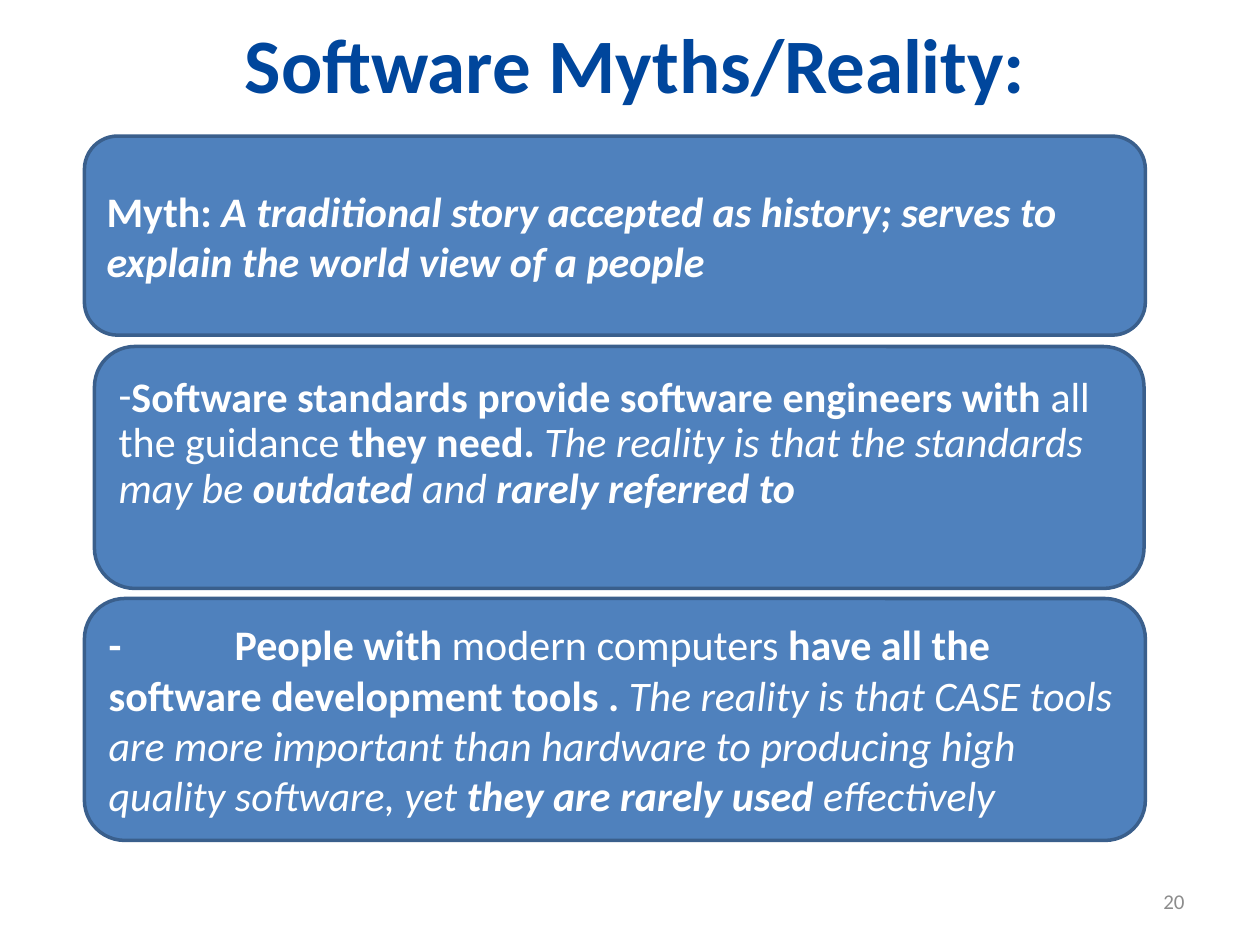
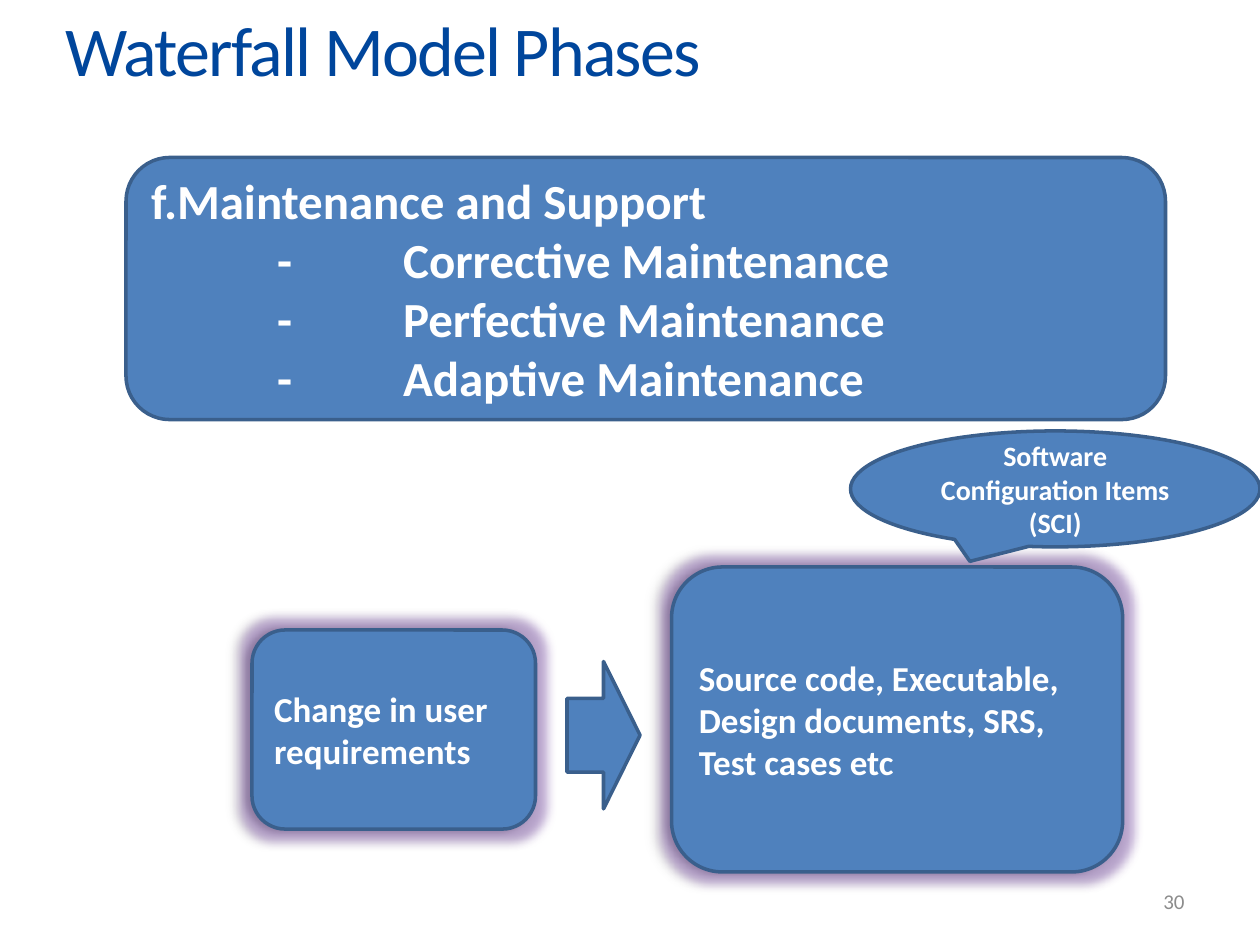
import pptx
import pptx.util
import pptx.dml.color
import pptx.enum.shapes
import pptx.enum.text
import pptx.oxml
import pptx.oxml.ns

Inches, Pt = pptx.util.Inches, pptx.util.Pt
SHAPES = pptx.enum.shapes.MSO_SHAPE
ALIGN = pptx.enum.text.PP_ALIGN
ANCHOR = pptx.enum.text.MSO_ANCHOR

FONT = "Calibri"
COLORS = {
    "title": "00469C",
    "panel": "4F81BD",
    "outline": "3A5F8C",
    "text": "FFFFFF",
    "number": "8C8C8C",
    "glow": "8050B0",
    "shadow": "000000",
}
BULLET_FONT = '<a:buFont {ns} typeface="%s"/>' % FONT
DASH = '<a:buChar {ns} char="-"/>'
LETTER_F = '<a:buAutoNum {ns} type="alphaLcPeriod" startAt="6"/>'
# Tab stops one inch apart
TABS = '<a:tabLst {ns}>%s</a:tabLst>' % "".join(
    '<a:tab pos="%d" algn="l"/>' % Inches(stop) for stop in (1, 2))
GLOW = (
    '<a:glow {ns} rad="139700"><a:srgbClr val="%s"><a:alpha val="40000"/></a:srgbClr></a:glow>'
    % COLORS["glow"]
)
SHADOW = (
    '<a:outerShdw {ns} blurRad="50800" dist="38100" dir="10800000"><a:srgbClr val="%s">'
    '<a:alpha val="40000"/></a:srgbClr></a:outerShdw>' % COLORS["shadow"]
)


def rgb(name):
    return pptx.dml.color.RGBColor.from_string(COLORS[name])


def append_xml(parent, *fragments):
    namespace = pptx.oxml.ns.nsdecls("a")
    for xml in fragments:
        parent.append(pptx.oxml.parse_xml(xml.replace("{ns}", namespace)))


def style_run(run, size, color, bold=False, italic=False):
    font = run.font
    font.name, font.size = FONT, Pt(size)
    font.bold, font.italic = bold, italic
    font.color.rgb = rgb(color)


def add_title(slide, text, box, size, bold, align, anchor):
    title = slide.shapes.title
    title.left, title.top, title.width, title.height = map(Inches, box)
    frame = title.text_frame
    frame.text = text
    frame.auto_size = pptx.enum.text.MSO_AUTO_SIZE.NONE
    frame.vertical_anchor = anchor
    frame.paragraphs[0].alignment = align
    run = frame.paragraphs[0].runs[0]
    style_run(run, size, "title", bold)
    return run


def add_page_number(slide, number):
    frame = slide.shapes.add_textbox(*map(Inches, (7.17, 6.95, 2.33, 0.4))).text_frame
    frame.word_wrap = True
    frame.vertical_anchor = ANCHOR.MIDDLE
    frame.text = number
    frame.paragraphs[0].alignment = ALIGN.RIGHT
    style_run(frame.paragraphs[0].runs[0], 12, "number")


def add_panel(slide, box, paragraphs=(), size=24, kind=SHAPES.ROUNDED_RECTANGLE,
              align=ALIGN.LEFT, bullet=None, spacing=None, glowing=False):
    """Each paragraph is a list of (text, style); style holds b and/or i."""
    panel = slide.shapes.add_shape(kind, *map(Inches, box))
    panel.shadow.inherit = False
    panel.fill.solid()
    panel.fill.fore_color.rgb = rgb("panel")
    panel.line.color.rgb = rgb("outline")
    panel.line.width = Pt(2)
    if glowing:
        effects = panel.element.spPr.find(pptx.oxml.ns.qn("a:effectLst"))
        append_xml(effects, GLOW, SHADOW)

    frame = panel.text_frame
    frame.vertical_anchor = ANCHOR.MIDDLE
    for index, parts in enumerate(paragraphs):
        paragraph = frame.add_paragraph() if index else frame.paragraphs[0]
        paragraph.alignment = align
        if spacing:
            paragraph.line_spacing = spacing
        properties = paragraph._p.get_or_add_pPr()
        if bullet and index == 0:
            append_xml(properties, BULLET_FONT, bullet)
        append_xml(properties, TABS)
        for text, style in parts:
            run = paragraph.add_run()
            run.text = text
            style_run(run, size, "text", "b" in style, "i" in style)
    return panel


def build_myths(slide):
    add_title(slide, "Software Myths/Reality:", (0.42, 0, 9.25, 1), 44, True,
              ALIGN.CENTER, ANCHOR.MIDDLE)

    # Definition of a myth
    add_panel(slide, (0.67, 1.08, 8.42, 1.58), [[
        ("Myth: ", "b"),
        ("A traditional story accepted as history; serves to explain the world view of a people", "bi"),
    ]])

    # Standards myth, its text raised by a deeper bottom margin
    standards = add_panel(slide, (0.75, 2.75, 8.33, 1.92), [[
        ("Software standards provide software engineers with ", "b"),
        ("all the guidance", ""),
        (" they need. ", "b"),
        ("The reality is that the standards may be ", "i"),
        ("outdated", "bi"),
        (" and ", "i"),
        ("rarely referred to", "bi"),
    ]], bullet=DASH, spacing=0.9)
    standards.text_frame.margin_bottom = Inches(0.42)

    # Tools myth
    add_panel(slide, (0.67, 4.75, 8.42, 1.92), [[
        ("-\tPeople with ", "b"),
        ("modern computers", ""),
        (" have all the software development tools . ", "b"),
        ("The reality is that CASE tools are more important than hardware to "
         "producing high quality software, yet ", "i"),
        ("they are rarely used ", "bi"),
        ("effectively", "i"),
    ]])
    add_page_number(slide, "20")


def build_waterfall(slide):
    heading = add_title(slide, "Waterfall Model Phases", (0.42, 0, 8.5, 1), 40, False,
                        ALIGN.LEFT, ANCHOR.TOP)
    heading.font._element.set("spc", "-100")

    # Maintenance phase
    kinds = ("Corrective", "Perfective", "Adaptive")
    phase = [[("Maintenance and Support", "b")]]
    phase += [[(f"\t-\t{kind} Maintenance", "b")] for kind in kinds]
    add_panel(slide, (1, 1.25, 8.25, 2.08), phase, size=28, bullet=LETTER_F)

    # Change leading to the configuration items
    add_panel(slide, (5.33, 4.5, 3.58, 2.42),
              [[("Source code, Executable, Design documents, SRS, Test cases etc", "b")]],
              size=20, glowing=True)
    add_panel(slide, (2, 5, 2.25, 1.58), [[("Change in user requirements", "b")]],
              size=20, glowing=True)
    add_panel(slide, (4.5, 5.25, 0.58, 1.17), kind=SHAPES.RIGHT_ARROW)
    add_panel(slide, (6.75, 3.42, 3.25, 0.92),
              [[("Software Configuration Items (SCI)", "b")]],
              size=16, kind=SHAPES.OVAL_CALLOUT, align=ALIGN.CENTER)
    add_page_number(slide, "30")


def main():
    deck = pptx.Presentation()
    deck.slide_width, deck.slide_height = Inches(10), Inches(7.5)
    title_only = deck.slide_layouts[5]
    for build in (build_myths, build_waterfall):
        build(deck.slides.add_slide(title_only))
    deck.save("out.pptx")


if __name__ == "__main__":
    main()
